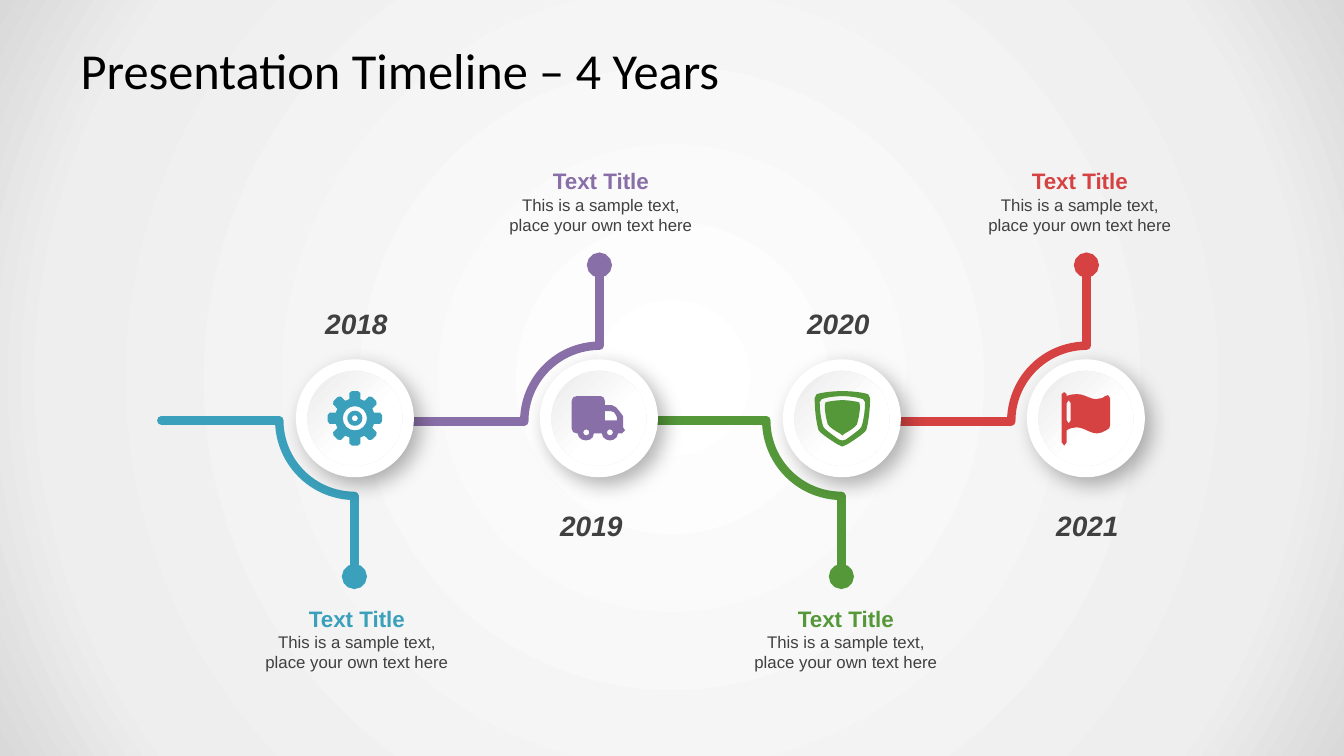
from math import cos, dist, pi, sin

from pptx import Presentation
from pptx.dml.color import RGBColor
from pptx.enum.shapes import MSO_SHAPE as SHAPE
from pptx.enum.text import MSO_ANCHOR as ANCHOR, MSO_AUTO_SIZE as FIT, PP_ALIGN as ALIGN
from pptx.oxml import parse_xml
from pptx.oxml.ns import nsdecls, qn
from pptx.util import Inches, Pt

BLUE = RGBColor(0x3B, 0xA0, 0xBB)
PURPLE = RGBColor(0x89, 0x6F, 0xA8)
GREEN = RGBColor(0x55, 0x98, 0x3A)
RED = RGBColor(0xD6, 0x42, 0x42)
WHITE = RGBColor(0xFF, 0xFF, 0xFF)
PALE = RGBColor(0xEB, 0xEB, 0xEB)
DARK = RGBColor(0x40, 0x40, 0x40)
BLACK = RGBColor(0, 0, 0)
BACKDROP = [(0, WHITE), (81, RGBColor(0xEE, 0xEE, 0xEE)), (100, RGBColor(0xD9, 0xD9, 0xD9))]


# Icon outlines, in hundredths of an inch
def trace(*parts):
    """Join points (x, y) and cubic curves (x1, y1, x2, y2, x3, y3)."""
    points = []
    for part in parts:
        if len(part) == 2:
            points.append(part)
            continue
        curve = [points[-1], part[:2], part[2:4], part[4:]]
        steps = max(1, round(dist(curve[0], curve[3]) / 4))
        for i in range(1, steps + 1):
            t = i / steps
            weights = ((1 - t) ** 3, 3 * t * (1 - t) ** 2, 3 * t * t * (1 - t), t ** 3)
            points.append(tuple(sum(w * p[k] for w, p in zip(weights, curve)) for k in (0, 1)))
    return points


def circle(cx, cy, r):
    count = 16 if r > 5 else 8
    return [(cx + r * cos(2 * pi * i / count), cy + r * sin(2 * pi * i / count))
            for i in range(count)]


def mirrored(middle, *half):
    left = trace(*half)
    return left + [(2 * middle - x, y) for x, y in left[-2:0:-1]]


def gear_outline(center=27, teeth=8):
    tooth = [(-5.5, -19), (-5.5, -25), (-3, -27), (3, -27), (5.5, -25), (5.5, -19)]
    turns = [2 * pi * i / teeth for i in range(teeth)]
    return [(center + x * cos(a) - y * sin(a), center + x * sin(a) + y * cos(a))
            for a in turns for x, y in tooth]


GEAR = [gear_outline()] + [circle(27, 27, r) for r in (12, 7.5, 3)]
TRUCK = [
    trace((5, 37), (2, 37, 0, 35, 0, 32), (0, 5), (0, 2, 2, 0, 5, 0), (29, 0),
          (31, 0, 33, 2, 33, 5), (33, 9), (40, 9), (41, 9, 43, 10, 44, 11), (49, 17),
          (50, 18, 51, 19, 51, 20), (51, 31), (52, 31, 53, 32, 53, 34),
          (53, 35, 52, 37, 50, 37), (46, 37), (46, 41, 42, 44, 38, 44),
          (34, 44, 30, 41, 30, 37), (22, 37), (22, 41, 19, 44, 14, 44),
          (10, 44, 6, 41, 6, 37)),
    circle(38, 36, 3), circle(14.5, 36, 3),
    trace((45, 24), (45, 21), (45, 20, 45, 19, 44, 19), (42, 16),
          (41, 15, 40, 15, 39, 15), (33, 15), (33, 24)),
]
SHIELD = [
    mirrored(27.5, (27.5, 0), (19, 0, 9, 1, 2, 3), (1, 4, 0, 5, 0, 7),
             (0, 23, 3, 37, 4, 39), (7, 43, 18, 50, 23, 53), (25, 54, 26, 55, 27.5, 55)),
    mirrored(27.5, (27.5, 5), (21, 5, 13, 6, 7, 8), (6, 8, 5, 9, 5, 11),
             (5, 23, 8, 35, 9, 36), (11, 39, 20, 45, 24, 48), (25, 48, 26, 49, 27.5, 49)),
    mirrored(27.5, (27.5, 9), (22, 9, 16, 10, 11, 11), (10, 12, 10, 13, 10, 14),
             (10, 23, 13, 33, 13, 33), (15, 36, 21, 40, 25, 42), (26, 43, 27, 44, 27.5, 44)),
]
FLAG = [
    trace((5, 38), (5, 38, 8, 35, 15, 35), (22, 35, 28, 41, 35, 41), (40, 41, 44, 38, 47, 36),
          (47, 35, 48, 34, 48, 33), (48, 6), (48, 4, 47, 3, 46, 3), (45, 3, 44, 4, 43, 4),
          (42, 5, 40, 7, 34, 7), (28, 7, 23, 2, 15, 2), (8, 2, 5, 4, 5, 4), (5, 2),
          (5, 1, 3, 0, 2.5, 0), (1, 0, 0, 1, 0, 2), (0, 50), (0, 52, 1, 53, 2.5, 53),
          (3, 53, 5, 52, 5, 50)),
    trace((9, 11), (9, 28), (9, 30, 8, 31, 7, 31), (6, 31, 5, 30, 5, 28), (5, 11),
          (5, 9, 6, 8, 7, 8), (8, 8, 9, 9, 9, 11)),
]

# Year, colour, centres of arc, ring, year and caption, icon, icon left and top
STEPS = [
    ("2018", BLUE, 3.52, 3.52, 3.53, 3.54, GEAR, (3.25, 3.88)),
    ("2019", PURPLE, 5.95, 5.94, 5.86, 5.96, TRUCK, (5.67, 3.93)),
    ("2020", GREEN, 8.35, 8.35, 8.31, 8.39, SHIELD, (8.08, 3.88)),
    ("2021", RED, 10.78, 10.77, 10.78, 10.71, FLAG, (10.53, 3.89)),
]
RADIUS = 0.75


def add_text(slide, box, paragraphs, align=ALIGN.CENTER, font="Arial", italic=False,
             wrap=True, margins=(0.1, 0.05)):
    """Each paragraph is (text, size, colour, bold)."""
    frame = slide.shapes.add_textbox(*map(Inches, box)).text_frame
    frame.word_wrap = wrap
    frame.auto_size = FIT.NONE if wrap else FIT.SHAPE_TO_FIT_TEXT
    frame.vertical_anchor = ANCHOR.MIDDLE
    frame.margin_left = frame.margin_right = Inches(margins[0])
    frame.margin_top = frame.margin_bottom = Inches(margins[1])
    for i, (text, size, color, bold) in enumerate(paragraphs):
        line = frame.add_paragraph() if i else frame.paragraphs[0]
        line.alignment = align
        run = line.add_run()
        run.text = text
        run.font.name, run.font.size = font, Pt(size)
        run.font.bold, run.font.italic = bold, italic
        run.font.color.rgb = color


def style_stroke(shape, color, down, oval_end=False):
    shape.fill.background()
    shape.shadow.inherit = False
    shape.line.color.rgb = color
    shape.line.width = Pt(6)
    ln = shape.line._get_or_add_ln()
    ln.set("cap", "rnd")
    ln.append(parse_xml(f'<a:round {nsdecls("a")}/>'))
    if oval_end:
        ln.append(parse_xml(f'<a:tailEnd {nsdecls("a")} type="oval"/>'))
    if down:
        shape._element.spPr.xfrm.set("flipV", "1")


def add_strip(slide, box, color, down, rotation=0, oval_end=False):
    """Stroke from right to left along the top of a box, or its bottom when down."""
    left, top, width, height = map(Inches, box)
    pen = slide.shapes.build_freeform(left + width, top, scale=1.0)
    pen.add_line_segments([(left, top)], close=False)
    strip = pen.convert_to_shape()
    strip.height = height
    strip._element.find(".//" + qn("a:path")).set("h", str(height))
    strip.rotation = rotation
    style_stroke(strip, color, down, oval_end)


def add_arm(slide, cx, color, down):
    """Quarter arc round the ring, line along the axis, stem with a dot."""
    axis = 4.17 if down else 4.18
    arc = slide.shapes.add_shape(SHAPE.ARC, Inches(cx - RADIUS), Inches(axis - RADIUS),
                                 Inches(2 * RADIUS), Inches(2 * RADIUS))
    arc.adjustments[0], arc.adjustments[1] = 108.13, 161.31
    style_stroke(arc, color, down)
    run, depth = 1.17, 0.09
    add_strip(slide, (cx - RADIUS - run, axis - depth * down, run, depth), color, down)
    stem, depth = 0.8, 0.05
    middle = axis + (RADIUS + stem / 2) * (1 if down else -1)
    add_strip(slide, (cx - 0.03 - stem / 2, middle - depth / 2, stem, depth), color, down,
              rotation=270 if down else 90, oval_end=True)


def add_disc(slide, cx, cy, size):
    disc = slide.shapes.add_shape(SHAPE.OVAL, Inches(cx - size / 2), Inches(cy - size / 2),
                                  Inches(size), Inches(size))
    disc.line.fill.background()
    disc.shadow.inherit = False
    return disc


def add_medallion(slide, cx, icon, corner, color):
    rim = add_disc(slide, cx, 4.15, 1.17)
    rim.fill.solid()
    rim.fill.fore_color.rgb = WHITE
    rim._element.spPr.find(qn("a:effectLst")).append(parse_xml(
        f'<a:outerShdw {nsdecls("a")} blurRad="{Pt(15)}" dist="{Pt(7)}" dir="2700000" '
        'algn="tl" rotWithShape="0"><a:srgbClr val="000000"><a:alpha val="30000"/>'
        '</a:srgbClr></a:outerShdw>'))
    face = add_disc(slide, cx, 4.15, 0.94)
    face.fill.gradient()
    face.fill.gradient_angle = 315
    for stop, place, tint in zip(face.fill.gradient_stops, (0, 0.6), (PALE, WHITE)):
        stop.position, stop.color.rgb = place, tint

    # Icon
    left, top = corner
    contours = [[(Inches(left + x / 100), Inches(top + y / 100)) for x, y in c] for c in icon]
    pen = slide.shapes.build_freeform(*contours[0][0], scale=1.0)
    for i, contour in enumerate(contours):
        if i:
            pen.move_to(*contour[0])
        pen.add_line_segments(contour[1:], close=True)
    symbol = pen.convert_to_shape()
    symbol.fill.solid()
    symbol.fill.fore_color.rgb = color
    symbol.line.fill.background()
    symbol.shadow.inherit = False


def add_labels(slide, year, year_x, caption_x, color, down):
    add_text(slide, (year_x - 0.41, 2.99 if down else 4.99, 0.83, 0.44),
             [(year, 20, DARK, True)], italic=True, wrap=False)
    add_text(slide, (caption_x - 1.01, 5.84 if down else 1.5, 2.02, 0.99),
             [("Text Title", 16, color, True),
              ("This is a sample text, place your own text here", 12, DARK, False)])


def paint_background(slide):
    slide.background.fill.solid()
    stops = "".join(f'<a:gs pos="{place * 1000}"><a:srgbClr val="{tint}"/></a:gs>'
                    for place, tint in BACKDROP)
    holder = slide._element.find(".//" + qn("p:bgPr"))
    holder.replace(holder[0], parse_xml(
        f'<a:gradFill {nsdecls("a")} rotWithShape="1"><a:gsLst>{stops}</a:gsLst>'
        '<a:path path="circle"><a:fillToRect l="50000" t="50000" r="50000" b="50000"/>'
        '</a:path></a:gradFill>'))


deck = Presentation()
deck.slide_width, deck.slide_height = Inches(13.33), Inches(7.5)
timeline = deck.slides.add_slide(deck.slide_layouts[6])
paint_background(timeline)
add_text(timeline, (0.67, 0.3, 12, 0.78), [("Presentation Timeline – 4 Years", 36, BLACK, False)],
         align=ALIGN.LEFT, font="Calibri", margins=(0.13, 0.07))
# Arms lie behind the medallions; they point down and up in turn
for i, (year, color, arc_x, *rest) in enumerate(STEPS):
    add_arm(timeline, arc_x, color, down=i % 2 == 0)
for i, (year, color, arc_x, ring_x, year_x, caption_x, icon, corner) in enumerate(STEPS):
    add_medallion(timeline, ring_x, icon, corner, color)
    add_labels(timeline, year, year_x, caption_x, color, down=i % 2 == 0)
deck.save("out.pptx")
